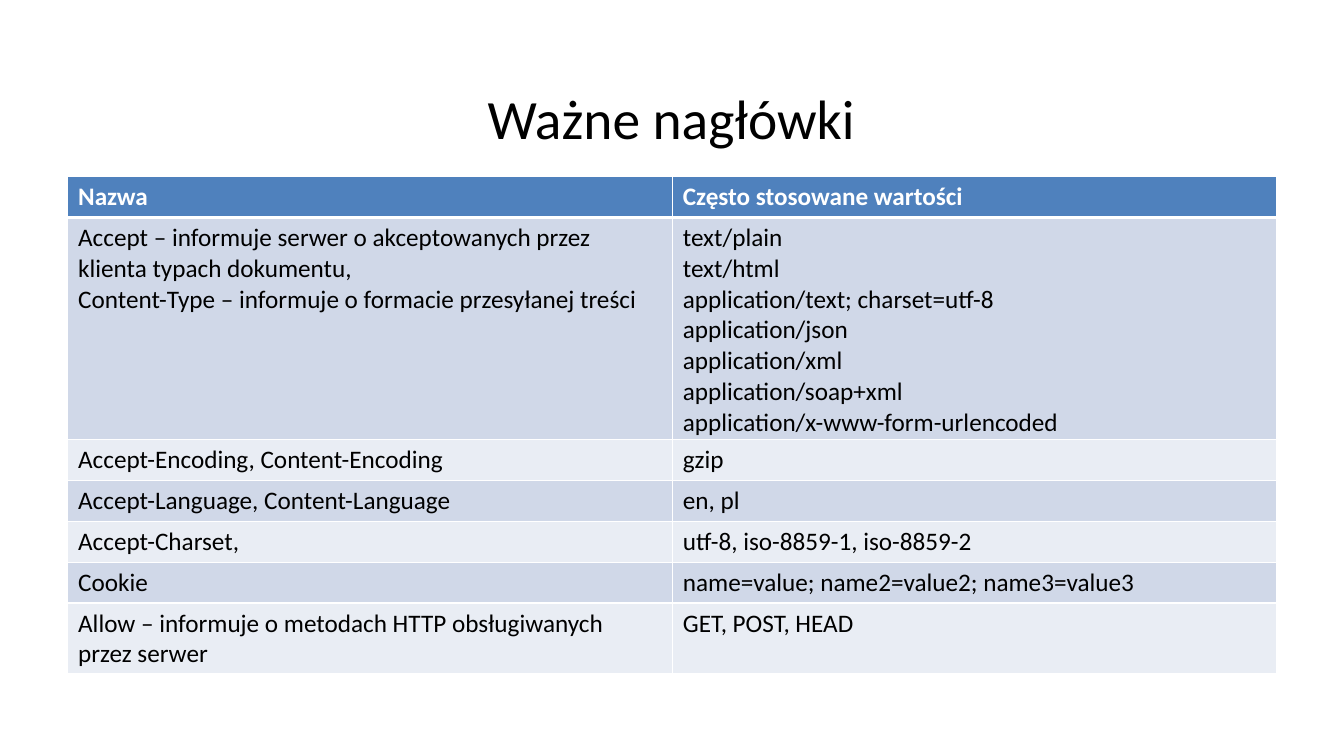
from dataclasses import dataclass
from typing import NamedTuple

from lxml.etree import SubElement
from pptx import Presentation
from pptx.dml.color import RGBColor as Color
from pptx.enum.text import MSO_ANCHOR as Anchor, PP_ALIGN as Align
from pptx.oxml.ns import qn
from pptx.util import Cm, Pt


@dataclass(frozen=True)
class Theme:
    font: str = "Calibri"
    title_size: float = 39.6
    table_size: float = 18
    text: str = "000000"
    header_text: str = "FFFFFF"
    header_fill: str = "4F81BD"
    bands: tuple = ("D0D8E8", "E9EDF4")
    border: str = "FFFFFF"
    border_width: float = 1
    header_rule_width: float = 3


class Box(NamedTuple):
    left: float
    top: float
    width: float
    height: float

    def lengths(self):
        return [Cm(value) for value in self]


THEME = Theme()
ROW_HEIGHT = 1.03
HEADERS = [
    ("Nazwa", "Często stosowane wartości"),
    (
        "Accept – informuje serwer o akceptowanych przez klienta typach dokumentu,\n"
        "Content-Type – informuje o formacie przesyłanej treści",
        "text/plain\ntext/html\napplication/text; charset=utf-8\napplication/json\n"
        "application/xml\napplication/soap+xml\napplication/x-www-form-urlencoded",
    ),
    ("Accept-Encoding, Content-Encoding", "gzip"),
    ("Accept-Language, Content-Language", "en, pl"),
    ("Accept-Charset,", "utf-8, iso-8859-1, iso-8859-2"),
    ("Cookie", "name=value; name2=value2; name3=value3"),
    ("Allow – informuje o metodach HTTP obsługiwanych przez serwer", "GET, POST, HEAD"),
]


def style_text(frame, size, color, bold=False):
    for para in frame.paragraphs:
        para.font.name = THEME.font
        para.font.size = Pt(size)
        para.font.bold = bold
        para.font.color.rgb = Color.from_string(color)


def set_borders(cell, widths):
    properties = cell._tc.get_or_add_tcPr()
    for side, width in zip(("lnL", "lnR", "lnT", "lnB"), widths):
        line = SubElement(properties, qn(f"a:{side}"), w=str(Pt(width)))
        fill = SubElement(line, qn("a:solidFill"))
        SubElement(fill, qn("a:srgbClr"), val=THEME.border)


def add_title(page, box, text):
    frame = page.shapes.add_textbox(*box.lengths()).text_frame
    frame.word_wrap = True
    frame.vertical_anchor = Anchor.MIDDLE
    frame.text = text
    frame.paragraphs[0].alignment = Align.CENTER
    style_text(frame, THEME.title_size, THEME.text)


def fill_cell(cell, text, row):
    is_header = row == 0
    cell.margin_left = cell.margin_right = Cm(0.27)
    cell.margin_top = cell.margin_bottom = Cm(0.13)
    cell.text = text
    style_text(cell.text_frame, THEME.table_size,
               THEME.header_text if is_header else THEME.text, is_header)

    # The heavier rule is shared by the header and the row below it
    top = THEME.header_rule_width if row == 1 else THEME.border_width
    bottom = THEME.header_rule_width if is_header else THEME.border_width
    set_borders(cell, (THEME.border_width, THEME.border_width, top, bottom))

    color = THEME.header_fill if is_header else THEME.bands[(row - 1) % 2]
    cell.fill.solid()
    cell.fill.fore_color.rgb = Color.from_string(color)


def add_header_table(page, box, rows):
    columns = len(rows[0])
    table = page.shapes.add_table(len(rows), columns, *box.lengths()).table
    for column in table.columns:
        column.width = Cm(box.width / columns)
    for index, texts in enumerate(rows):
        table.rows[index].height = Cm(ROW_HEIGHT)
        for column, text in enumerate(texts):
            fill_cell(table.cell(index, column), text, index)


def main():
    deck = Presentation()
    deck.slide_width, deck.slide_height = Cm(33.87), Cm(19.05)
    page = deck.slides.add_slide(deck.slide_layouts[6])

    # Title above the table
    add_title(page, Box(1.7, 1.98, 30.43, 1.96), "Ważne nagłówki")

    # Table of HTTP headers; rows grow with their text
    add_header_table(page, Box(1.7, 4.45, 30.48, ROW_HEIGHT * len(HEADERS)), HEADERS)

    deck.save("out.pptx")


if __name__ == "__main__":
    main()
